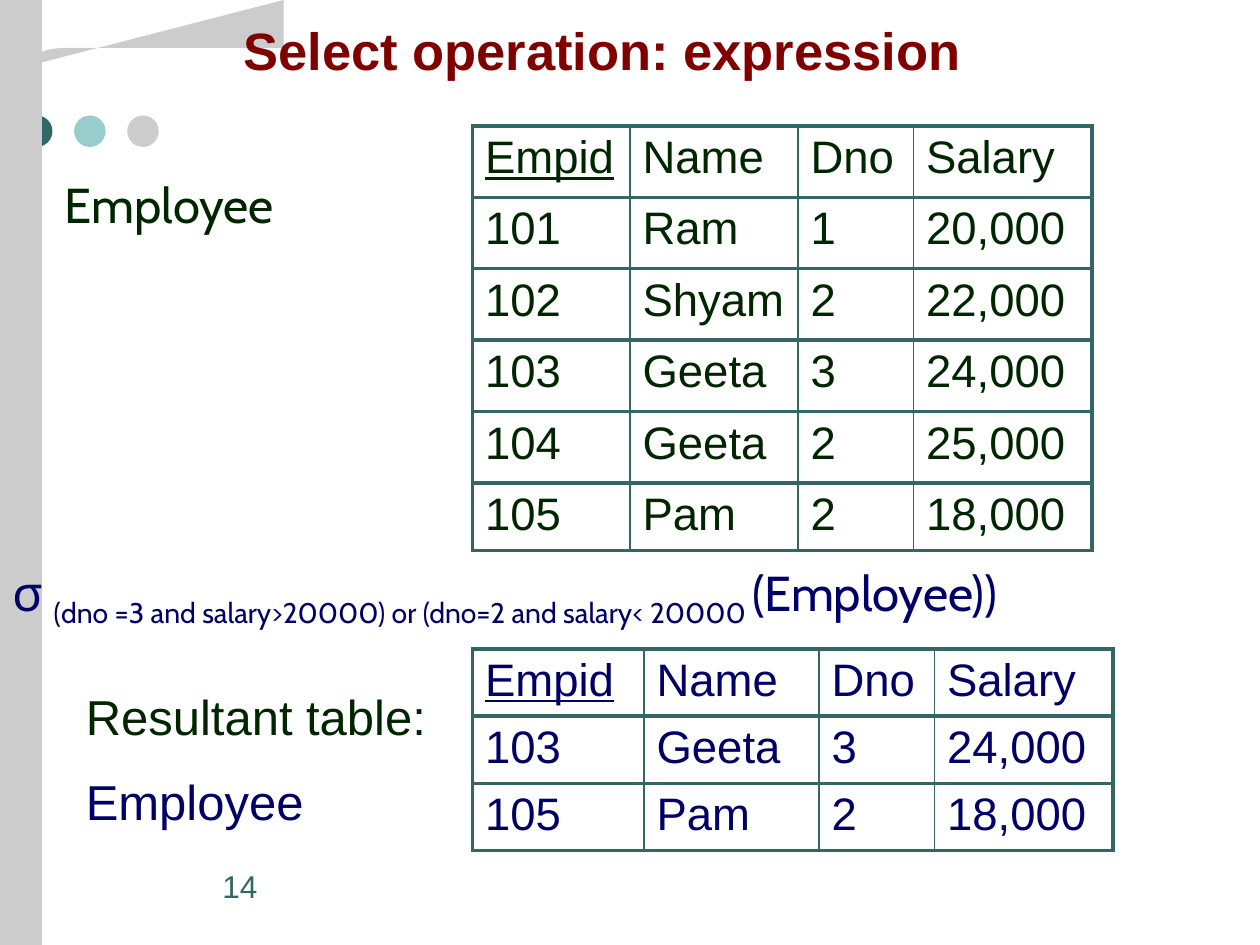
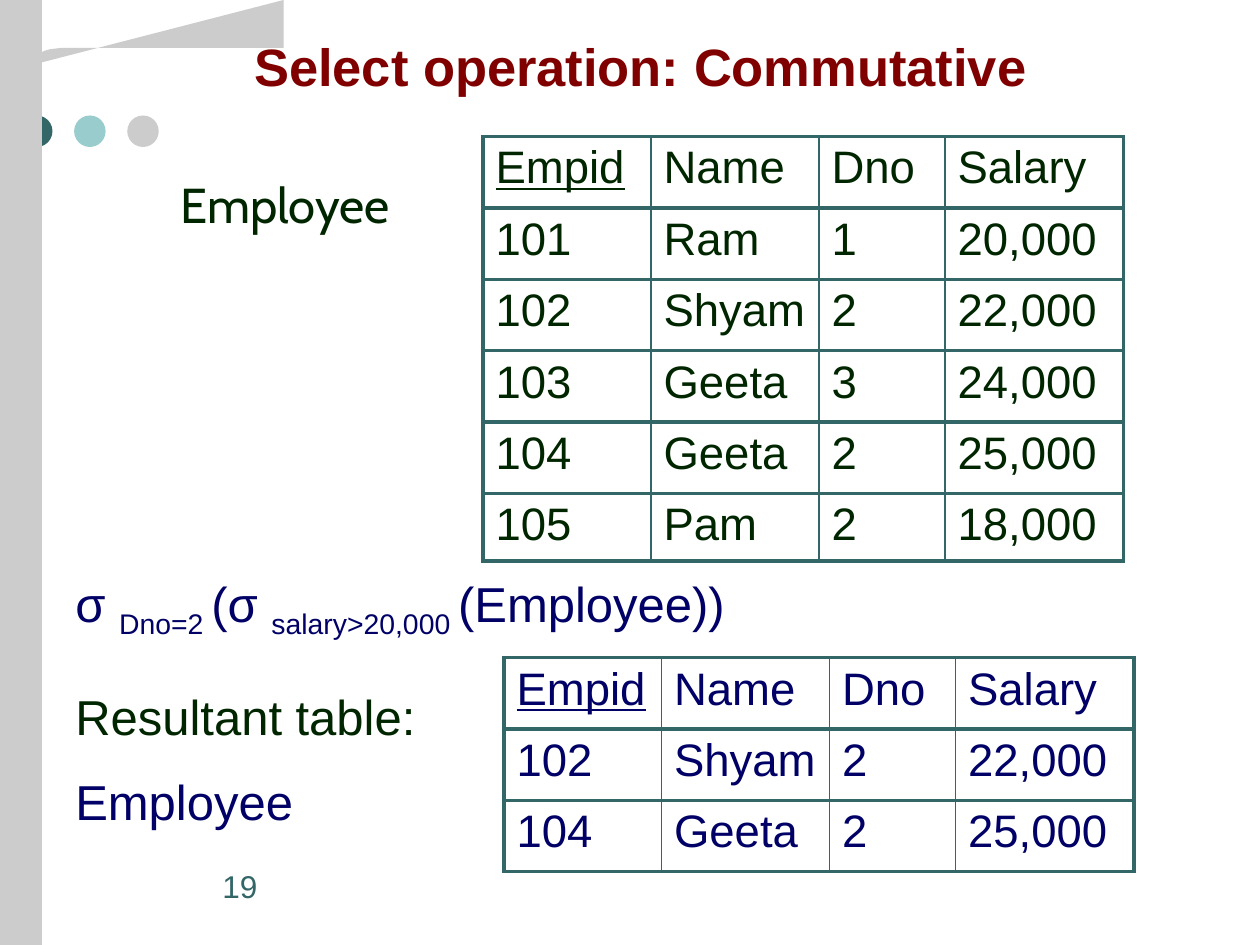
from lxml.etree import SubElement
from pptx import Presentation
from pptx.dml.color import RGBColor
from pptx.enum.shapes import MSO_SHAPE as Shape
from pptx.enum.text import MSO_ANCHOR as Anchor, MSO_AUTO_SIZE as AutoSize, PP_ALIGN as Align
from pptx.oxml.ns import qn
from pptx.util import Pt

TEAL = RGBColor(0x33, 0x66, 0x66)
AQUA = RGBColor(0x99, 0xCC, 0xCC)
GREY = RGBColor(0xCC, 0xCC, 0xCC)
MAROON = RGBColor(0x80, 0x00, 0x00)
GREEN = RGBColor(0x00, 0x26, 0x00)
NAVY = RGBColor(0x00, 0x00, 0x66)

PAGE = (0, 0, 720, 540)
SUBSCRIPT = -25
ROW = 40.8
THICK, THIN = 2.25, 1
HEADER = ("Empid", "Name", "Dno", "Salary")
EMPLOYEES = [
    ("101", "Ram", "1", "20,000"),
    ("102", "Shyam", "2", "22,000"),
    ("103", "Geeta", "3", "24,000"),
    ("104", "Geeta", "2", "25,000"),
    ("105", "Pam", "2", "18,000"),
]


def write(paragraph, text, size=28, color=NAVY, font="Arial", bold=False,
          underline=False, baseline=0):
    """Append a formatted run to a paragraph."""
    run = paragraph.add_run()
    run.text = text
    run.font.size = Pt(size)
    run.font.name = font
    run.font.bold = bold
    run.font.underline = underline
    run.font.color.rgb = color
    if baseline:
        run.font._element.set("baseline", str(baseline * 1000))


def text_frame(slide, box):
    """Add a wrapping text box and return its frame."""
    frame = slide.shapes.add_textbox(*map(Pt, box)).text_frame
    frame.word_wrap = True
    return frame


def paint(shape, color):
    """Give a shape a flat fill without line or shadow."""
    shape.shadow.inherit = False
    shape.fill.solid()
    shape.fill.fore_color.rgb = color
    shape.line.fill.background()
    return shape


def draw_frame(slide, box):
    """Draw the dots, side band and rounded corner, and return them."""
    left, top, _, height = box
    dots = [
        paint(slide.shapes.add_shape(Shape.OVAL, Pt(left + 12 + 30.35 * i),
                                     Pt(top + 66), Pt(18), Pt(18)), color)
        for i, color in enumerate((TEAL, AQUA, GREY))
    ]
    band = slide.shapes.add_shape(Shape.RECTANGLE, Pt(left), Pt(top), Pt(24), Pt(height))
    outline = [(162, 0), (162, 27.4), (35, 27.4), (28.8, 28.1), (25.5, 29),
               (23, 30.3), (20.5, 32.3), (19, 34.5), (18.2, 36.5), (18, 38.5),
               (18, 41.8), (0, 41.8)]
    points = [(Pt(left + x), Pt(top + y)) for x, y in outline]
    builder = slide.shapes.build_freeform(*points[0])
    builder.add_line_segments(points[1:], close=True)
    return dots + [paint(band, GREY), paint(builder.convert_to_shape(), GREY)]


def share_frame(slide, layout):
    """Move the frame drawn on a slide behind the layout's title."""
    for placeholder in list(layout.placeholders):
        if placeholder.placeholder_format.idx >= 10:
            layout.shapes.element.remove(placeholder.element)
    for position, part in enumerate(draw_frame(slide, PAGE), start=2):
        layout.shapes.element.insert(position, part.element)


def add_title(slide, text, box):
    """Place and format the slide title."""
    title = slide.shapes.title
    title.left, title.top, title.width, title.height = map(Pt, box)
    frame = title.text_frame
    frame.word_wrap = True
    frame.auto_size = AutoSize.NONE
    frame.vertical_anchor = Anchor.MIDDLE
    frame.paragraphs[0].alignment = Align.LEFT
    write(frame.paragraphs[0], text, size=30, color=MAROON, bold=True)


def add_borders(cell, widths):
    """Set the left, right, top and bottom borders of a cell."""
    properties = cell._tc.get_or_add_tcPr()
    for position, (side, width) in enumerate(zip("LRTB", widths)):
        line = SubElement(properties, qn(f"a:ln{side}"), w=str(Pt(width)))
        fill = SubElement(line, qn("a:solidFill"))
        SubElement(fill, qn("a:srgbClr"), val=str(TEAL))
        properties.insert(position, line)


def add_relation(slide, records, origin, columns, heights, color):
    """Draw a relation with its key underlined."""
    rows = [HEADER, *records]
    left, top = origin
    table = slide.shapes.add_table(len(rows), len(columns), Pt(left), Pt(top),
                                   Pt(sum(columns)), Pt(sum(heights))).table
    table.first_row = table.horz_banding = False
    for column, width in zip(table.columns, columns):
        column.width = Pt(width)
    last = len(columns) - 1
    for r, values in enumerate(rows):
        table.rows[r].height = Pt(heights[r])
        for c, value in enumerate(values):
            cell = table.cell(r, c)
            cell.fill.background()
            add_borders(cell, (THIN if c else THICK, THIN if c < last else THICK,
                               THICK, THICK))
            write(cell.text_frame.paragraphs[0], value, size=26, color=color,
                  underline=r == c == 0)


def add_formula(slide, box, parts, font):
    """Write an expression whose every second part is a subscript."""
    paragraph = text_frame(slide, box).paragraphs[0]
    for i, part in enumerate(parts):
        write(paragraph, part, font=font, baseline=SUBSCRIPT if i % 2 else 0)


def add_labels(slide, source_box, result_box, number):
    """Write the relation labels and the slide number."""
    write(text_frame(slide, source_box).paragraphs[0], "Employee", color=GREEN, font="Cabin")
    result = text_frame(slide, result_box)
    write(result.paragraphs[0], "Resultant table:", color=GREEN)
    relation = result.add_paragraph()
    relation.space_before = Pt(15)
    write(relation, "Employee")
    page = text_frame(slide, (120, 492, 102, 36))
    write(page.paragraphs[0], number, size=18, color=TEAL)


def build_expression(slide):
    """Build the slide on a compound selection."""
    add_title(slide, "Select operation: expression", (132, 6, 486, 45))
    add_relation(slide, EMPLOYEES, (270, 72), (90, 96, 66, 102), [ROW] * 5 + [38.6], GREEN)
    add_relation(slide, [EMPLOYEES[2], EMPLOYEES[4]], (270, 370.8),
                 (98, 100, 66, 102), [38.4] * 3, NAVY)
    add_labels(slide, (30, 96, 294, 41), (42, 389, 210, 91), "14")
    add_formula(slide, (0, 318, 720, 41),
                ("σ ", "(dno =3 and salary>20000) or (dno=2 and salary< 20000 ",
                 "(Employee))"), "Cabin")


def build_commutative(slide):
    """Build the slide on nested selections."""
    add_title(slide, "Select operation: Commutative", (138, 15, 492, 45))
    add_relation(slide, EMPLOYEES, (276, 78), (96, 96, 72, 102), [ROW] * 5 + [38.6], GREEN)
    add_relation(slide, [EMPLOYEES[1], EMPLOYEES[3]], (288, 375.8),
                 (90, 96, 72, 102), [ROW] * 3, NAVY)
    add_labels(slide, (96, 96, 198, 41), (36, 389, 258, 91), "19")
    add_formula(slide, (36, 324, 426, 41),
                ("σ ", "Dno=2 ", "(σ ", "salary>20,000 ", "(Employee))"), "Arial")


def main():
    """Build and save the presentation."""
    deck = Presentation()
    deck.slide_width, deck.slide_height = map(Pt, PAGE[2:])
    layout = deck.slide_layouts[5]
    expression, commutative = (deck.slides.add_slide(layout) for _ in range(2))
    share_frame(expression, layout)
    build_expression(expression)
    build_commutative(commutative)
    deck.save("out.pptx")


if __name__ == "__main__":
    main()
